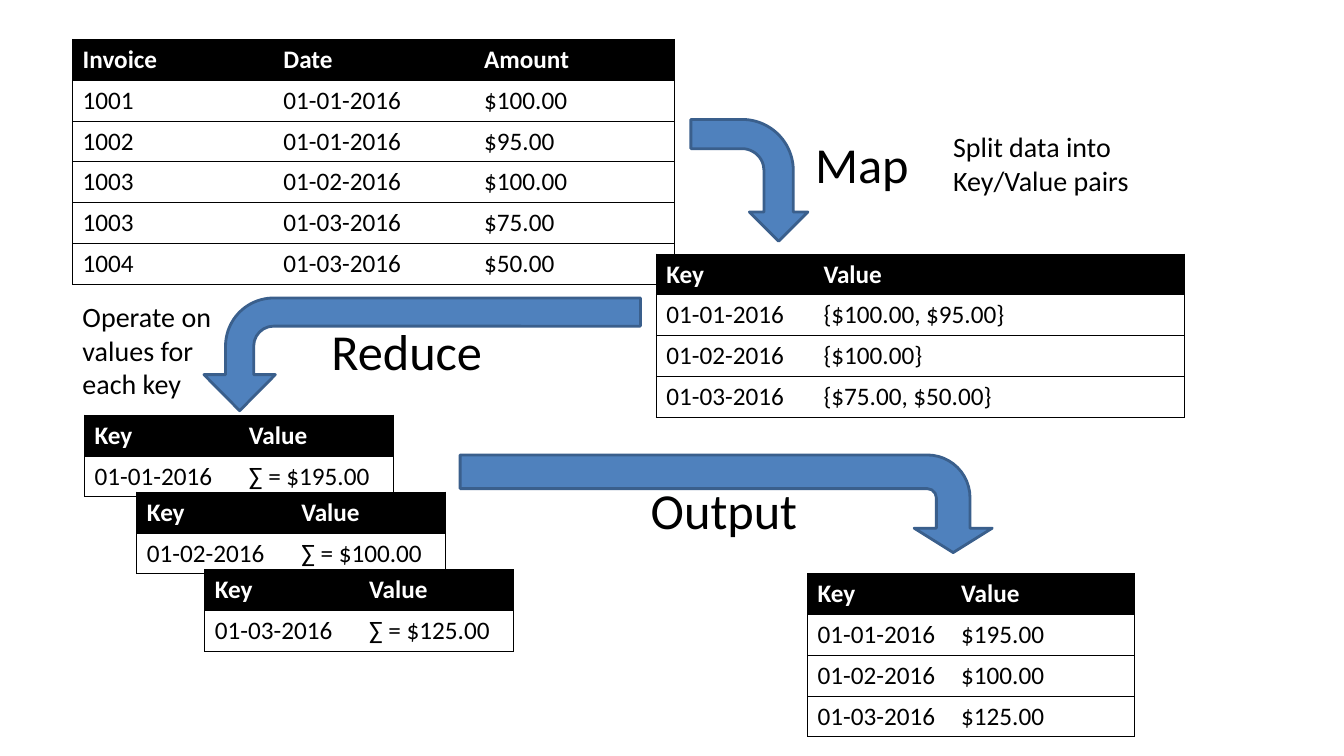
import dataclasses

import pptx
import pptx.dml.color
import pptx.enum.shapes
import pptx.enum.text
import pptx.oxml
import pptx.oxml.ns
import pptx.util

Cm, Pt = pptx.util.Cm, pptx.util.Pt
RGBColor = pptx.dml.color.RGBColor


@dataclasses.dataclass(frozen=True)
class Theme:
    font: str = "Calibri"
    black: str = "000000"
    white: str = "FFFFFF"
    arrow_fill: str = "4F81BD"
    arrow_line: str = "3A5F8C"
    cell_size: int = 18
    step_size: int = 36
    note_size: int = 20
    border_width: float = 0.75
    arrow_width: float = 2


THEME = Theme()
ROW_HEIGHT = 1.03

# Positions and sizes are in centimetres.
INVOICES = [
    ("Invoice", "Date", "Amount"),
    ("1001", "01-01-2016", "$100.00"),
    ("1002", "01-01-2016", "$95.00"),
    ("1003", "01-02-2016", "$100.00"),
    ("1003", "01-03-2016", "$75.00"),
    ("1004", "01-03-2016", "$50.00"),
]
KEY_VALUE = ("Key", "Value")
MAPPED = [
    KEY_VALUE,
    ("01-01-2016", "{$100.00, $95.00}"),
    ("01-02-2016", "{$100.00}"),
    ("01-03-2016", "{$75.00, $50.00}"),
]
TOTALS = [
    ("01-01-2016", "$195.00"),
    ("01-02-2016", "$100.00"),
    ("01-03-2016", "$125.00"),
]
REDUCED_POSITIONS = [(2.13, 10.46), (3.45, 12.4), (5.16, 14.35)]

# Rows, left and top, column widths, body fill
TABLES = [
    (INVOICES, (1.83, 0.99), (5.06, 5.06, 5.06), None),
    (MAPPED, (16.54, 6.4), (3.96, 9.35), None),
    *[
        ([KEY_VALUE, (key, f"∑ = {total}")], position, (3.89, 3.89), THEME.white)
        for (key, total), position in zip(TOTALS, REDUCED_POSITIONS)
    ],
    ([KEY_VALUE, *TOTALS], (20.35, 14.45), (3.62, 4.62), None),
]

# Box before rotation, rotation, mirrored, adjustments
ARROWS = [
    ((17.35, 3.07, 3.07, 2.95), 90, False, (0.25, 0.25, 0.25, 0.4375)),
    ((9.22, 3.43, 2.84, 11), 270, True, (0.25, 0.317, 0.32, 0.426)),
    ((17.07, 5.99, 2.46, 13.41), 90, False, (0.345, 0.4, 0.25, 0.438)),
]

# Text, box, size, wrapped
LABELS = [
    ("Map", (20.29, 3.23, 2.9, 1.8), THEME.step_size, False),
    ("Reduce", (8.1, 7.95, 4.34, 1.8), THEME.step_size, False),
    ("Output", (16.15, 11.96, 4.24, 1.8), THEME.step_size, False),
    ("Split data into Key/Value pairs", (23.77, 3.15, 5.94, 1.96), THEME.note_size, True),
    ("Operate on values for each key", (1.83, 7.42, 4.65, 2.82), THEME.note_size, True),
]


def set_text(text_frame, text, size, color, bold=False):
    run = text_frame.paragraphs[0].add_run()
    run.text = text
    font_format = {"name": THEME.font, "size": Pt(size), "bold": bold}
    for name, value in font_format.items():
        setattr(run.font, name, value)
    run.font.color.rgb = RGBColor.from_string(color)


def set_fill(fill, color):
    if color is None:
        fill.background()
    else:
        fill.solid()
        fill.fore_color.rgb = RGBColor.from_string(color)


def set_borders(cell, sides):
    """Draw the named sides (L, R, T, B) and clear the others."""
    properties = cell._tc.get_or_add_tcPr()
    for index, side in enumerate("LRTB"):
        paint = (
            f'<a:solidFill><a:srgbClr val="{THEME.black}"/></a:solidFill>'
            if side in sides
            else "<a:noFill/>"
        )
        border = pptx.oxml.parse_xml(
            f'<a:ln{side} {pptx.oxml.ns.nsdecls("a")} w="{Pt(THEME.border_width)}">'
            f"{paint}</a:ln{side}>"
        )
        properties.insert(index, border)


def add_data_table(slide, rows, position, widths, body_fill):
    left, top = position
    table = slide.shapes.add_table(
        len(rows), len(widths), Cm(left), Cm(top),
        Cm(sum(widths)), Cm(ROW_HEIGHT * len(rows)),
    ).table
    for column, width in zip(table.columns, widths):
        column.width = Cm(width)
    for row_index, values in enumerate(rows):
        table.rows[row_index].height = Cm(ROW_HEIGHT)
        header = row_index == 0
        for column_index, value in enumerate(values):
            cell = table.cell(row_index, column_index)
            set_text(cell.text_frame, value, THEME.cell_size,
                     THEME.white if header else THEME.black, header)
            set_fill(cell.fill, THEME.black if header else body_fill)
            sides = "TB"
            if column_index == 0:
                sides += "L"
            if column_index == len(widths) - 1:
                sides += "R"
            set_borders(cell, sides)


def add_bent_arrow(slide, box, rotation, mirrored, adjustments):
    arrow = slide.shapes.add_shape(
        pptx.enum.shapes.MSO_SHAPE.BENT_ARROW, *map(Cm, box))
    arrow.rotation = rotation
    arrow.shadow.inherit = False
    for index, value in enumerate(adjustments):
        arrow.adjustments[index] = value
    if mirrored:
        arrow.element.spPr.xfrm.set("flipH", "1")
    set_fill(arrow.fill, THEME.arrow_fill)
    set_fill(arrow.line.fill, THEME.arrow_line)
    arrow.line.width = Pt(THEME.arrow_width)


def add_label(slide, text, box, size, wrapped):
    text_frame = slide.shapes.add_textbox(*map(Cm, box)).text_frame
    frame_format = {
        "word_wrap": wrapped,
        "auto_size": pptx.enum.text.MSO_AUTO_SIZE.SHAPE_TO_FIT_TEXT,
    }
    for name, value in frame_format.items():
        setattr(text_frame, name, value)
    set_text(text_frame, text, size, THEME.black)


def main():
    presentation = pptx.Presentation()
    presentation.slide_width = Cm(33.87)
    presentation.slide_height = Cm(19.05)
    slide = presentation.slides.add_slide(presentation.slide_layouts[6])
    for table in TABLES:
        add_data_table(slide, *table)
    for arrow in ARROWS:
        add_bent_arrow(slide, *arrow)
    for label in LABELS:
        add_label(slide, *label)
    presentation.save("out.pptx")


if __name__ == "__main__":
    main()
